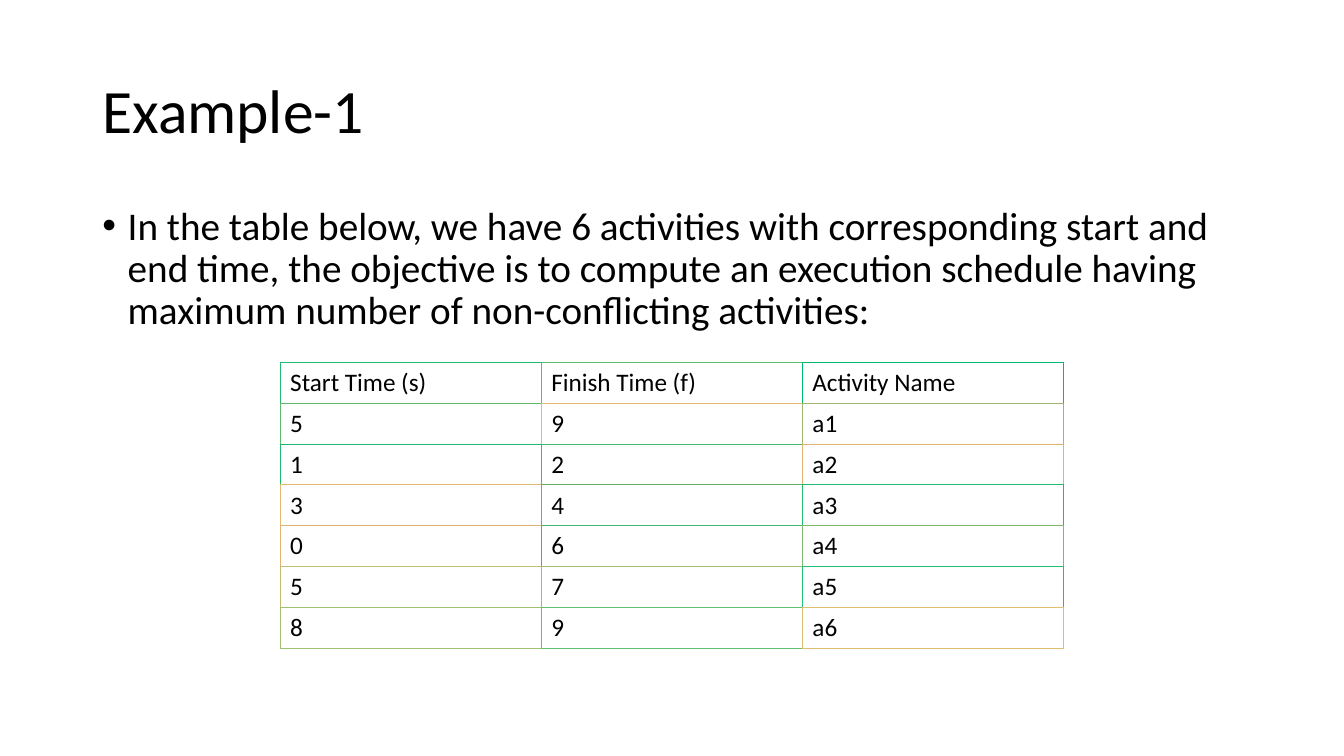
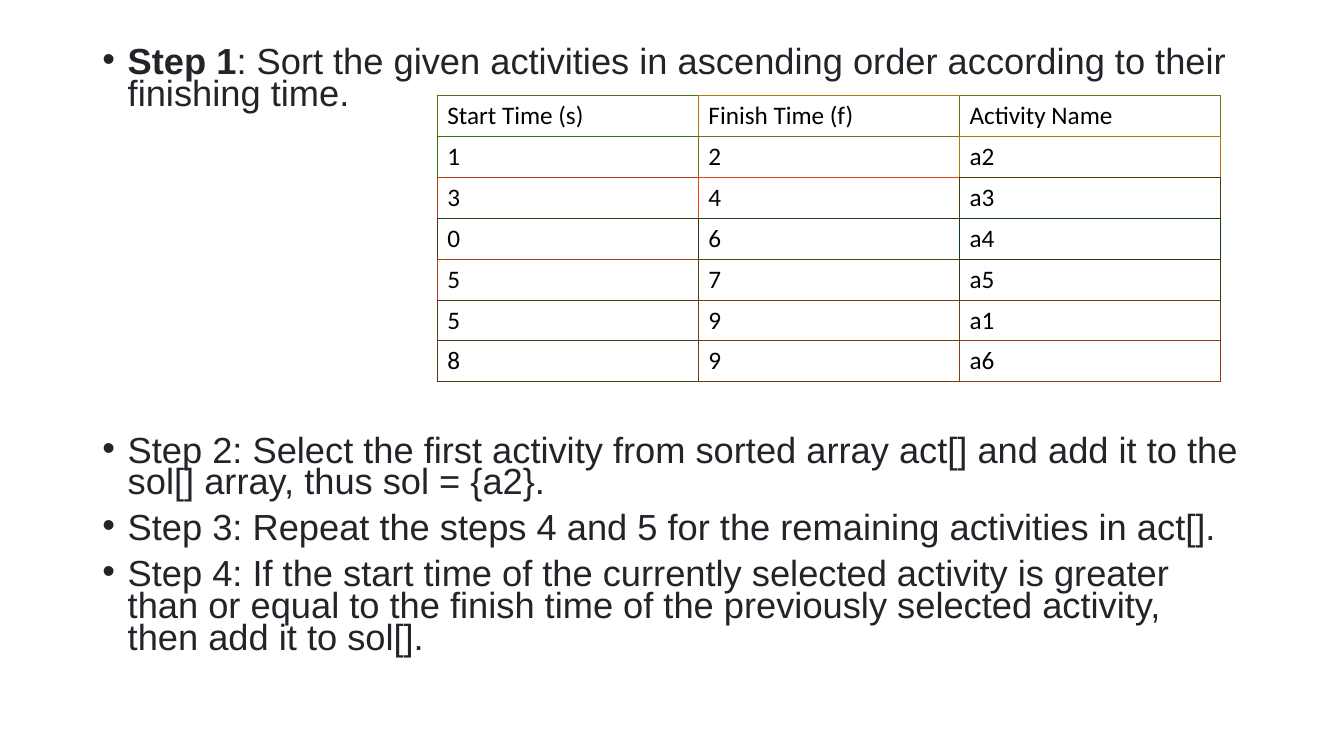
"""Builds two slides on the activity selection problem."""
from lxml import etree
from pptx import Presentation
from pptx.dml.color import RGBColor
from pptx.enum.text import MSO_ANCHOR
from pptx.oxml.ns import qn
from pptx.util import Cm, Pt

MIDDLE = MSO_ANCHOR.MIDDLE
TOP = MSO_ANCHOR.TOP
BLACK, WHITE, CHARCOAL = "000000", "FFFFFF", "212529"
HEADING_FONT, STEP_FONT = "Calibri", "Arial"
MARGIN_LEFT, CONTENT_WIDTH = 2.33, 29.21
BULLET_INDENT = Cm(0.64)
BULLET_GAP = 10
COLUMN_WIDTH, ROW_HEIGHT = 6.58, 1.03
BORDER_WIDTH = Pt(0.75)

HEADER = ("Start Time (s)", "Finish Time (f)", "Activity Name")
ACTIVITIES = [
    ("5", "9", "a1"),
    ("1", "2", "a2"),
    ("3", "4", "a3"),
    ("0", "6", "a4"),
    ("5", "7", "a5"),
    ("8", "9", "a6"),
]
GIVEN_BORDERS = [
    ("20BA70", "60B970", "00BA70"),
    ("60B970", "E0BA70", "A0B670"),
    ("20B870", "40B870", "E0B370"),
    ("E0BA70", "60B370", "20BB70"),
    ("E0B370", "40B670", "80B870"),
    ("C0BE70", "A0BE70", "20C170"),
    ("A0C170", "60C170", "E0C070"),
]
SORTED_BORDERS = [
    ("507215", "B07515", "707215"),
    ("307415", "707215", "B07415"),
    ("B03C15", "F03E15", "503A15"),
    ("303F15", "303C15", "104015"),
    ("B03D15", "504015", "303A15"),
    ("503F15", "703D15", "703D15"),
    ("503F15", "703A15", "903A15"),
]
OBJECTIVE = (
    "In the table below, we have 6 activities with corresponding start and end time, "
    "the objective is to compute an execution schedule having maximum number of "
    "non-conflicting activities:"
)
STEPS = [
    ("Step 1", ": Sort the given activities in ascending order according to their finishing time."),
    ("", "Step 2: Select the first activity from sorted array act[] and add it to the sol[] array, "
         "thus sol = {a2}."),
    ("", "Step 3: Repeat the steps 4 and 5 for the remaining activities in act[]."),
    ("", "Step 4: If the start time of the currently selected activity is greater than or equal to "
         "the finish time of the previously selected activity, then add it to sol[]."),
]
STEP_GAPS = (0, 232, BULLET_GAP, BULLET_GAP)


def rgb(value):
    """Turn a hex string into a colour."""
    return RGBColor.from_string(value)


def style_font(paragraph, family, size, color):
    """Set the font shared by all runs of a paragraph."""
    paragraph.font.name = family
    paragraph.font.size = Pt(size)
    paragraph.font.color.rgb = rgb(color)


def add_text_frame(slide, top, height, anchor=TOP):
    """Add a wrapping text box across the content width."""
    box = slide.shapes.add_textbox(Cm(MARGIN_LEFT), Cm(top), Cm(CONTENT_WIDTH), Cm(height))
    frame = box.text_frame
    frame.word_wrap = True
    frame.vertical_anchor = anchor
    return frame


def add_title(slide, text):
    """Add the slide title."""
    paragraph = add_text_frame(slide, 1.02, 3.68, MIDDLE).paragraphs[0]
    paragraph.text = text
    paragraph.line_spacing = 0.9
    style_font(paragraph, HEADING_FONT, 44, BLACK)


def set_bullet(paragraph):
    """Give a paragraph a hanging round bullet."""
    properties = paragraph._p.get_or_add_pPr()
    properties.set("marL", str(BULLET_INDENT))
    properties.set("indent", str(-BULLET_INDENT))
    etree.SubElement(properties, qn("a:buFont"), typeface="Arial")
    etree.SubElement(properties, qn("a:buChar"), char="•")


def add_bullets(slide, top, height, items, gaps, line_spacing, family, size, color):
    """Add bullets, each a bold lead and plain text, with the given gaps before them."""
    frame = add_text_frame(slide, top, height)
    for index, ((lead, text), gap) in enumerate(zip(items, gaps)):
        paragraph = frame.add_paragraph() if index else frame.paragraphs[0]
        set_bullet(paragraph)
        paragraph.line_spacing = line_spacing
        paragraph.space_before = Pt(gap)
        style_font(paragraph, family, size, color)
        if lead:
            paragraph.add_run().text = lead
            paragraph.runs[0].font.bold = True
        paragraph.add_run().text = text


def set_borders(cell, left, right, top, bottom):
    """Draw the four borders of a cell."""
    properties = cell._tc.get_or_add_tcPr()
    for side, color in zip("LRTB", (left, right, top, bottom)):
        line = etree.SubElement(properties, qn(f"a:ln{side}"), w=str(BORDER_WIDTH))
        fill = etree.SubElement(line, qn("a:solidFill"))
        etree.SubElement(fill, qn("a:srgbClr"), val=color)


def add_activity_table(slide, left, top, activities, borders):
    """Add a table whose cells share an edge in the colour of the cell right of or below it."""
    rows = [HEADER, *activities]
    last_row, last_column = len(rows) - 1, len(HEADER) - 1
    table = slide.shapes.add_table(
        len(rows), len(HEADER), Cm(left), Cm(top),
        Cm(COLUMN_WIDTH * len(HEADER)), Cm(ROW_HEIGHT * len(rows)),
    ).table
    table.first_row = table.horz_banding = False
    for r, values in enumerate(rows):
        for c, value in enumerate(values):
            cell = table.cell(r, c)
            own = borders[r][c]
            right = borders[r][min(c + 1, last_column)]
            bottom = borders[min(r + 1, last_row)][c]
            set_borders(cell, own, right, own, bottom)
            cell.fill.solid()
            cell.fill.fore_color.rgb = rgb(WHITE)
            cell.text = value
            style_font(cell.text_frame.paragraphs[0], HEADING_FONT, 18, BLACK)


def main():
    """Build and save the presentation."""
    deck = Presentation()
    deck.slide_width, deck.slide_height = Cm(33.87), Cm(19.05)
    blank = deck.slide_layouts[6]

    example = deck.slides.add_slide(blank)
    add_title(example, "Example-1")
    add_bullets(example, 5.07, 12.09, [("", OBJECTIVE)], [0], 0.9, HEADING_FONT, 28, BLACK)
    add_activity_table(example, 7.06, 9.13, ACTIVITIES, GIVEN_BORDERS)

    solution = deck.slides.add_slide(blank)
    add_bullets(solution, 1.12, 16.03, STEPS, STEP_GAPS, 0.73, STEP_FONT, 25.9, CHARCOAL)
    by_finish = sorted(ACTIVITIES[1:5] + ACTIVITIES[:1] + ACTIVITIES[5:], key=lambda row: int(row[1]))
    add_activity_table(solution, 11.02, 2.41, by_finish, SORTED_BORDERS)

    deck.save("out.pptx")


if __name__ == "__main__":
    main()
